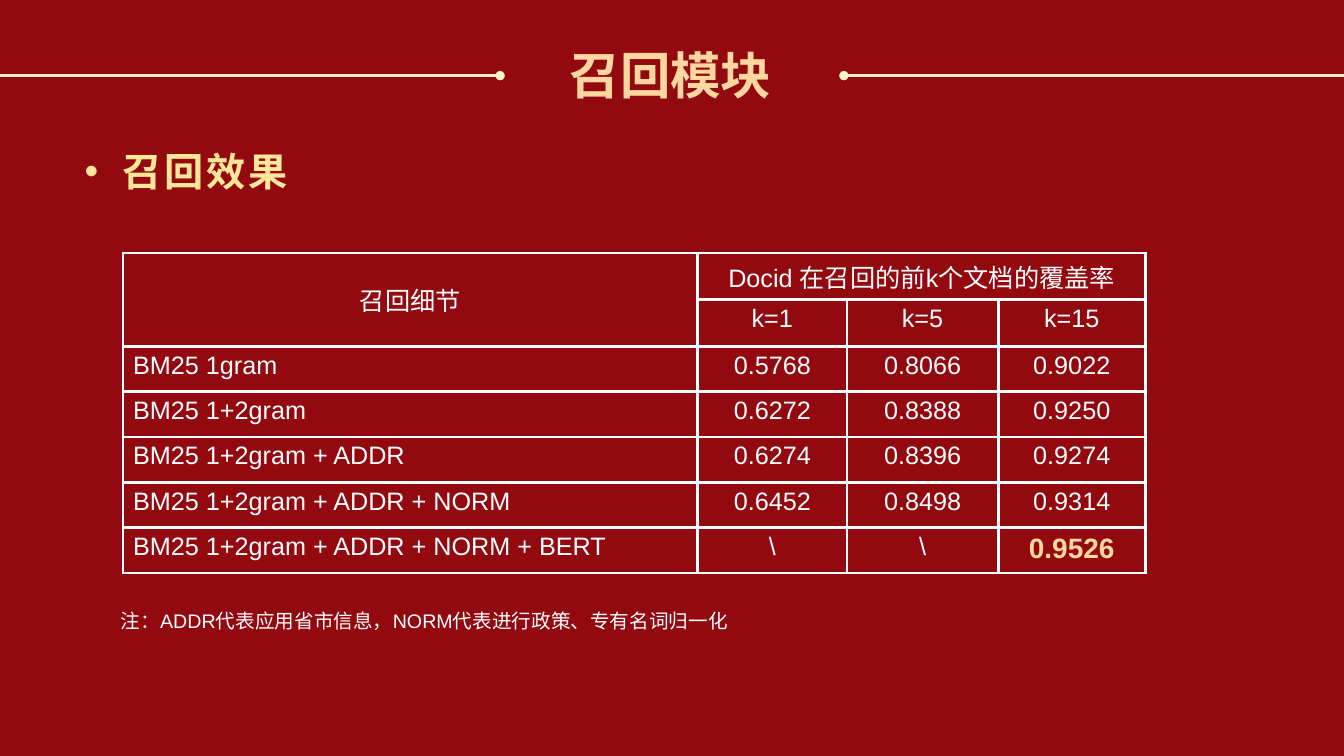
from pptx import Presentation
from pptx.dml.color import RGBColor
from pptx.enum.shapes import MSO_CONNECTOR
from pptx.enum.text import MSO_ANCHOR, PP_ALIGN
from pptx.oxml.ns import qn
from pptx.util import Inches, Pt
from lxml.etree import SubElement

RED = RGBColor(0x92, 0x09, 0x10)
WHITE = RGBColor(0xFF, 0xFF, 0xFF)
GOLD = RGBColor(0xFE, 0xD7, 0xA0)
YELLOW = RGBColor(0xFF, 0xE6, 0x99)
CREAM = RGBColor(0xFF, 0xF2, 0xCC)


def place(sp, left, top, width, height):
    sp.left, sp.top = Inches(left), Inches(top)
    sp.width, sp.height = Inches(width), Inches(height)


def style(p, size, color, bold=False, align=PP_ALIGN.LEFT):
    p.alignment = align
    for r in p.runs:
        r.font.name = "Arial"
        r.font.size = Pt(size)
        r.font.bold = bold
        r.font.color.rgb = color


prs = Presentation()
prs.slide_width, prs.slide_height = Inches(13.33), Inches(7.5)
s = prs.slides.add_slide(prs.slide_layouts[1])
s.background.fill.solid()
s.background.fill.fore_color.rgb = RED

# Title
title = s.shapes.title
place(title, 5.55, 0.39, 2.23, 0.71)
tf = title.text_frame
tf.text = "召回模块"
tf.vertical_anchor = MSO_ANCHOR.TOP
style(tf.paragraphs[0], 36, GOLD, bold=True)

# Bulleted heading
body = s.placeholders[1]
place(body, 0.73, 1.42, 11.87, 5.51)
tf = body.text_frame
tf.text = "召回效果"
tf.margin_left, tf.margin_right = Inches(0.11), Inches(0.08)
tf.margin_top = tf.margin_bottom = Inches(0.04)
p = tf.paragraphs[0]
style(p, 28, YELLOW, bold=True)
p.space_before, p.space_after = Pt(0), Pt(10)
p.runs[0].font._element.set("spc", "200")
pPr = p._p.get_or_add_pPr()
pPr.set("marL", str(Inches(0.38)))
pPr.set("indent", str(-Inches(0.38)))
SubElement(pPr, qn("a:buFont"), typeface="Arial")
SubElement(pPr, qn("a:buChar"), char="•")

# Lines on both sides of the title, dotted at the inner end
for x1, x2, end in [(0, 4.96, "a:tailEnd"), (8.37, 13.33, "a:headEnd")]:
    line = s.shapes.add_connector(
        MSO_CONNECTOR.STRAIGHT, Inches(x1), Inches(0.75), Inches(x2), Inches(0.75))
    line.line.color.rgb = CREAM
    line.line.width = Pt(2.25)
    SubElement(line.line._get_or_add_ln(), qn(end), type="oval")
    SubElement(line._element.spPr, qn("a:effectLst"))

# Results table
rows = [
    ["召回细节", "Docid 在召回的前k个文档的覆盖率", "", ""],
    ["", "k=1", "k=5", "k=15"],
    ["BM25 1gram", "0.5768", "0.8066", "0.9022"],
    ["BM25 1+2gram", "0.6272", "0.8388", "0.9250"],
    ["BM25 1+2gram + ADDR", "0.6274", "0.8396", "0.9274"],
    ["BM25 1+2gram + ADDR + NORM", "0.6452", "0.8498", "0.9314"],
    ["BM25 1+2gram + ADDR + NORM + BERT", "\\", "\\", "0.9526"],
]
table = s.shapes.add_table(
    len(rows), 4, Inches(1.22), Inches(2.51), Inches(10.14), Inches(3.15)).table
table.first_row = table.horz_banding = False
for col, width in zip(table.columns, [5.7, 1.48, 1.5, 1.46]):
    col.width = Inches(width)
for i, row in enumerate(rows):
    table.rows[i].height = Inches(0.45)
    for j, text in enumerate(row):
        cell = table.cell(i, j)
        cell.text = text
        tcPr = cell._tc.get_or_add_tcPr()
        for side in ("a:lnL", "a:lnR", "a:lnT", "a:lnB"):
            ln = SubElement(tcPr, qn(side), w=str(Pt(2.25)))
            fill = SubElement(ln, qn("a:solidFill"))
            SubElement(fill, qn("a:srgbClr"), val=str(WHITE))
        cell.fill.background()
        align = PP_ALIGN.LEFT if j == 0 and i > 1 else PP_ALIGN.CENTER
        style(cell.text_frame.paragraphs[0], 18, WHITE, align=align)
table.cell(0, 0).merge(table.cell(1, 0))
table.cell(0, 1).merge(table.cell(0, 3))
table.cell(0, 0).vertical_anchor = MSO_ANCHOR.MIDDLE

# Best result
best = table.cell(6, 3).text_frame.paragraphs[0]
style(best, 20, GOLD, bold=True, align=PP_ALIGN.CENTER)

# Note under the table
note = s.shapes.add_textbox(Inches(1.1), Inches(5.99), Inches(6.48), Inches(0.34))
tf = note.text_frame
tf.word_wrap = False
tf.text = "注：ADDR代表应用省市信息，NORM代表进行政策、专有名词归一化"
style(tf.paragraphs[0], 14, WHITE)

prs.save("out.pptx")
